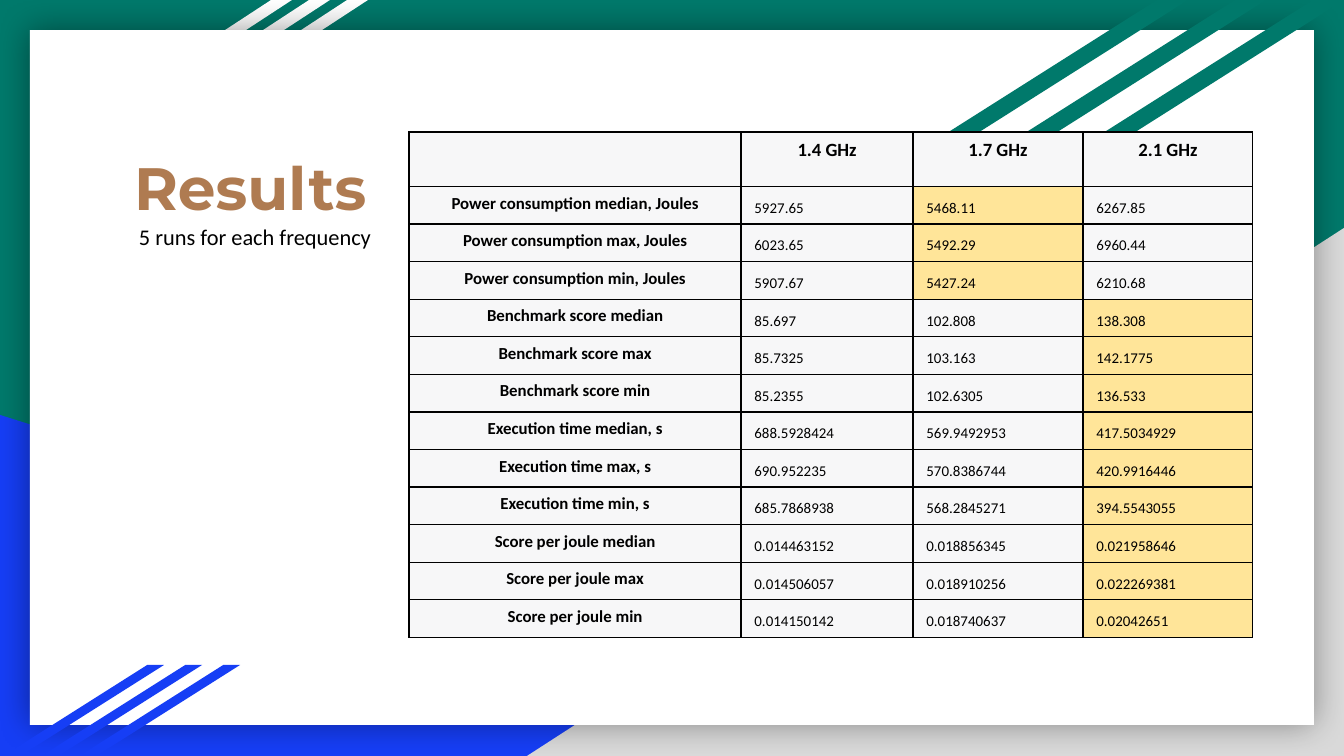
"""Build the benchmark results slide: striped frame, heading and frequency table."""
from lxml.etree import SubElement
from pptx import Presentation
from pptx.dml.color import RGBColor
from pptx.enum.shapes import MSO_SHAPE
from pptx.enum.text import MSO_ANCHOR, PP_ALIGN
from pptx.oxml.ns import qn
from pptx.util import Pt

PX = 914400 / 134.4
THEME = {
    "green": "00796B", "blue": "163EF5", "grey": "D9D9D9", "white": "FFFFFF",
    "black": "000000", "brown": "AF7B51", "cell": "F7F7F8", "best": "FFE599",
    "body_font": "Calibri", "title_font": "Montserrat",
    "title": 32, "subtitle": 12, "header": 10, "label": 9, "value": 8,
}


def add_block(kind, left, top, width, height, color):
    block = slide.shapes.add_shape(kind, *(round(v * PX) for v in (left, top, width, height)))
    block.shadow.inherit = False
    block.fill.solid()
    block.fill.fore_color.rgb = RGBColor.from_string(THEME[color])
    block.line.fill.background()
    return block


def add_text(paragraph, text, size, font="body_font", color="black", bold=False):
    run = paragraph.add_run()
    run.text = text
    run.font.name = THEME[font]
    run.font.size = Pt(THEME[size])
    run.font.bold = bold
    run.font.color.rgb = RGBColor.from_string(THEME[color])


deck = Presentation()
deck.slide_width, deck.slide_height = round(1344 * PX), round(756 * PX)
slide = deck.slides.add_slide(deck.slide_layouts[6])
slide.background.fill.solid()
slide.background.fill.fore_color.rgb = RGBColor.from_string(THEME["green"])

add_block(MSO_SHAPE.RIGHT_TRIANGLE, 0, 415, 1083, 341, "blue")
grey_corner = add_block(MSO_SHAPE.RIGHT_TRIANGLE, 527, 228, 817, 528, "grey")
grey_corner._element.spPr.xfrm.set("flipH", "1")

stripe_sets = [
    (113, 0, 255, 153, 38, 1.53, "white"),
    (81, 665, 159, 90, 38, 1.58, "blue"),
    (1021, 0, 323, 185, 78, 1.58, "green"),
]
for order, (left, top, width, height, step, slant, color) in enumerate(stripe_sets):
    for i in range(3):
        stripe = add_block(MSO_SHAPE.PARALLELOGRAM, left - i * step, top, width, height, color)
        stripe.adjustments[0] = slant
    if order == 0:
        panel = add_block(MSO_SHAPE.RECTANGLE, 30, 30, 1284, 695, "white")
        effects = panel._element.spPr.find(qn("a:effectLst"))
        glow = SubElement(effects, qn("a:outerShdw"), blurRad=str(Pt(18)), dist="0", dir="0",
                          algn="ctr", rotWithShape="0")
        glow_color = SubElement(glow, qn("a:srgbClr"), val=THEME["black"])
        SubElement(glow_color, qn("a:alpha"), val="40000")

frequencies = ["", "1.4 GHz", "1.7 GHz", "2.1 GHz"]
results = [
    ("Power consumption median, Joules", "5927.65", "5468.11", "6267.85"),
    ("Power consumption max, Joules", "6023.65", "5492.29", "6960.44"),
    ("Power consumption min, Joules", "5907.67", "5427.24", "6210.68"),
    ("Benchmark score median", "85.697", "102.808", "138.308"),
    ("Benchmark score max", "85.7325", "103.163", "142.1775"),
    ("Benchmark score min", "85.2355", "102.6305", "136.533"),
    ("Execution time median, s", "688.5928424", "569.9492953", "417.5034929"),
    ("Execution time max, s", "690.952235", "570.8386744", "420.9916446"),
    ("Execution time min, s", "685.7868938", "568.2845271", "394.5543055"),
    ("Score per joule median", "0.014463152", "0.018856345", "0.021958646"),
    ("Score per joule max", "0.014506057", "0.018910256", "0.022269381"),
    ("Score per joule min", "0.014150142", "0.018740637", "0.02042651"),
]
column_widths = [332, 172, 170, 170]
header_height, body_height = 53, 451
results_table = slide.shapes.add_table(
    len(results) + 1, len(frequencies), round(409 * PX), round(132 * PX),
    round(sum(column_widths) * PX), round((header_height + body_height) * PX)).table
results_table.first_row = results_table.horz_banding = False
for column, width in zip(results_table.columns, column_widths):
    column.width = round(width * PX)
for r, row in enumerate([frequencies, *results]):
    results_table.rows[r].height = round((body_height / len(results) if r else header_height) * PX)
    best = 2 if row[0].startswith("Power") else 3
    for c, text in enumerate(row):
        cell = results_table.cell(r, c)
        cell.margin_left = cell.margin_right = Pt(7.2)
        cell.margin_top = cell.margin_bottom = Pt(3.6)
        borders = cell._tc.get_or_add_tcPr()
        for side in ("lnL", "lnR", "lnT", "lnB"):
            border = SubElement(borders, qn(f"a:{side}"), w=str(Pt(0.75)))
            SubElement(SubElement(border, qn("a:solidFill")), qn("a:srgbClr"), val=THEME["black"])
        cell.fill.solid()
        cell.fill.fore_color.rgb = RGBColor.from_string(THEME["best" if r and c == best else "cell"])
        is_value = r > 0 and c > 0
        cell.vertical_anchor = MSO_ANCHOR.BOTTOM if is_value else MSO_ANCHOR.TOP
        entry = cell.text_frame.paragraphs[0]
        entry.alignment = PP_ALIGN.LEFT if is_value else PP_ALIGN.CENTER
        if text:
            size = "value" if is_value else "label" if r else "header"
            add_text(entry, text, size, bold=not is_value)

headings = [
    ("5 runs for each frequency", (121, 210, 274, 54), 18, MSO_ANCHOR.TOP,
     "subtitle", "body_font", "black", False),
    ("Results", (121, 117, 1103, 140), 13, MSO_ANCHOR.MIDDLE,
     "title", "title_font", "brown", True),
]
for text, place, indent, anchor, size, font, color, bold in headings:
    frame = slide.shapes.add_textbox(*(round(v * PX) for v in place)).text_frame
    frame.word_wrap = True
    frame.vertical_anchor = anchor
    frame.margin_left = round(indent * PX)
    frame.margin_top = frame.margin_right = frame.margin_bottom = round(13 * PX)
    add_text(frame.paragraphs[0], text, size, font, color, bold)

deck.save("out.pptx")
